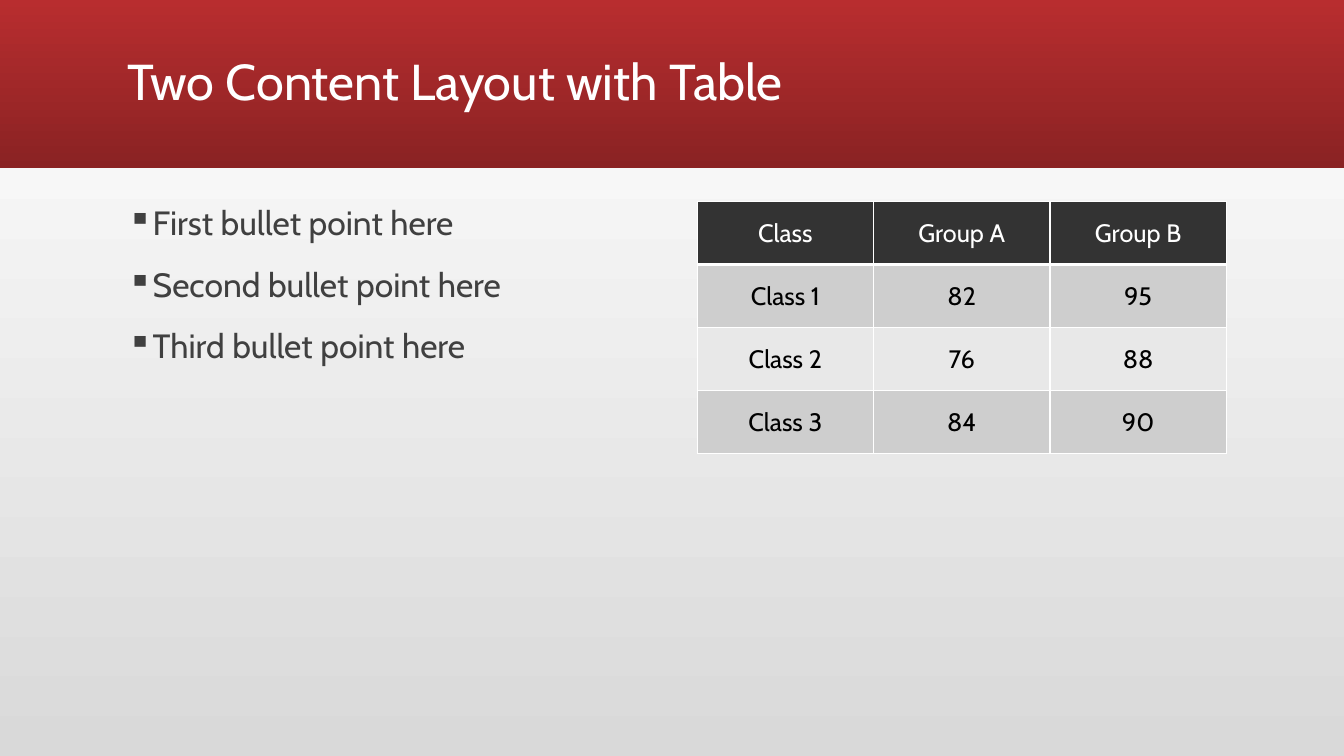
from dataclasses import dataclass

from pptx import Presentation
from pptx.dml.color import RGBColor as Color
from pptx.enum.shapes import MSO_SHAPE as Preset
from pptx.enum.text import MSO_ANCHOR as Anchor, PP_ALIGN as Align
from pptx.oxml.ns import qn
from pptx.util import Inches, Pt
from lxml.etree import SubElement


@dataclass(frozen=True)
class Theme:
    font: str = "Cabin"
    title_size: int = 36
    body_size: int = 24
    table_size: int = 18
    white: str = "FFFFFF"
    body_ink: str = "404040"
    table_ink: str = "000000"
    header_fill: str = "333333"
    row_fills: tuple = ("CECECE", "E8E8E8")
    page: tuple = ("FFFFFF", "D9D9D9")
    banner: tuple = ("B82D2F", "8A2223")


COLUMNS, ROWS = 160, 90
BULLET_INDENT = Inches(0.25)


def write(paragraph, text, font, size, color, align=Align.LEFT,
          line_spacing=None, space_before=None, bullet=None):
    """Fill a paragraph with one formatted run."""
    paragraph.alignment = align
    if line_spacing:
        paragraph.line_spacing = line_spacing
    if space_before:
        paragraph.space_before = Pt(space_before)
    if bullet:
        properties = paragraph._p.get_or_add_pPr()
        properties.set("marL", str(BULLET_INDENT))
        properties.set("indent", str(-BULLET_INDENT))
        SubElement(properties, qn("a:buChar"), char=bullet)
    run = paragraph.add_run()
    run.text = text
    run.font.name = font
    run.font.size = Pt(size)
    run.font.bold = False
    run.font.color.rgb = Color.from_string(color)


def shade(fill, colors):
    """Apply a gradient that runs from top to bottom."""
    fill.gradient()
    fill.gradient_angle = 270
    for stop, color in zip(fill.gradient_stops, colors):
        stop.color.rgb = Color.from_string(color)


def draw_border(cell, side, color, width):
    line = SubElement(cell._tc.get_or_add_tcPr(), qn(f"a:ln{side}"), w=str(Pt(width)))
    SubElement(SubElement(line, qn("a:solidFill")), qn("a:srgbClr"), val=color)


class SlideBuilder:
    def __init__(self, presentation, theme):
        self.theme = theme
        self.column = presentation.slide_width / COLUMNS
        self.row = presentation.slide_height / ROWS
        self.slide = presentation.slides.add_slide(presentation.slide_layouts[6])
        shade(self.slide.background.fill, theme.page)

    def place(self, left, top, width, height):
        """Turn grid columns and rows into slide lengths."""
        return (round(left * self.column), round(top * self.row),
                round(width * self.column), round(height * self.row))

    def banner(self, *area):
        shape = self.slide.shapes.add_shape(Preset.RECTANGLE, *self.place(*area))
        shape.shadow.inherit = False
        shape.line.fill.background()
        shade(shape.fill, self.theme.banner)

    def text(self, lines, *area, anchor=Anchor.TOP, **text_format):
        frame = self.slide.shapes.add_textbox(*self.place(*area)).text_frame
        frame.word_wrap = True
        frame.vertical_anchor = anchor
        for index, line in enumerate(lines):
            paragraph = frame.add_paragraph() if index else frame.paragraphs[0]
            write(paragraph, line, self.theme.font, line_spacing=0.9, **text_format)

    def table(self, records, *area):
        theme = self.theme
        table = self.slide.shapes.add_table(
            len(records), len(records[0]), *self.place(*area)).table
        for row, record in enumerate(records):
            fill = theme.row_fills[(row - 1) % 2] if row else theme.header_fill
            ink = theme.table_ink if row else theme.white
            # A thick rule parts the header from the first record
            widths = {"L": 1, "R": 1, "T": 3 if row == 1 else 1, "B": 1 if row else 3}
            for column, value in enumerate(record):
                cell = table.cell(row, column)
                for side, width in widths.items():
                    draw_border(cell, side, theme.white, width)
                cell.fill.solid()
                cell.fill.fore_color.rgb = Color.from_string(fill)
                cell.vertical_anchor = Anchor.MIDDLE
                write(cell.text_frame.paragraphs[0], value, theme.font,
                      theme.table_size, ink, align=Align.CENTER)


presentation = Presentation()
presentation.slide_width = Inches(13.33)
presentation.slide_height = Inches(7.5)
theme = Theme()
builder = SlideBuilder(presentation, theme)

# Title banner
builder.banner(0, 0, COLUMNS, 20)
builder.text(["Two Content Layout with Table"], 14, 1.25, 132, 17.5,
             anchor=Anchor.MIDDLE, size=theme.title_size, color=theme.white)

# Left half: bullets
builder.text([f"{order} bullet point here" for order in ("First", "Second", "Third")],
             14, 24, 63, 60, size=theme.body_size, color=theme.body_ink,
             space_before=18, bullet="▪")

# Right half: results by class
builder.table([
    ("Class", "Group A", "Group B"),
    ("Class 1", "82", "95"),
    ("Class 2", "76", "88"),
    ("Class 3", "84", "90"),
], 83, 24, 63, 30)

presentation.save("out.pptx")
